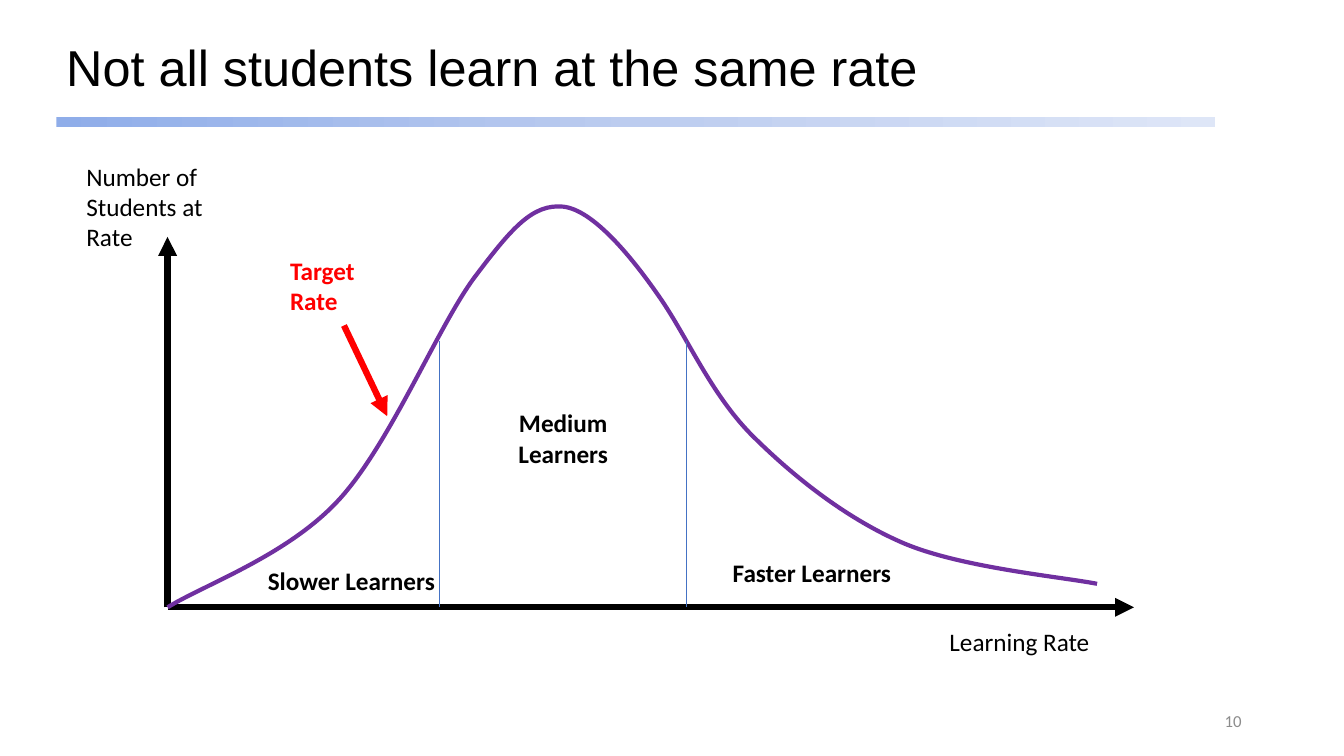
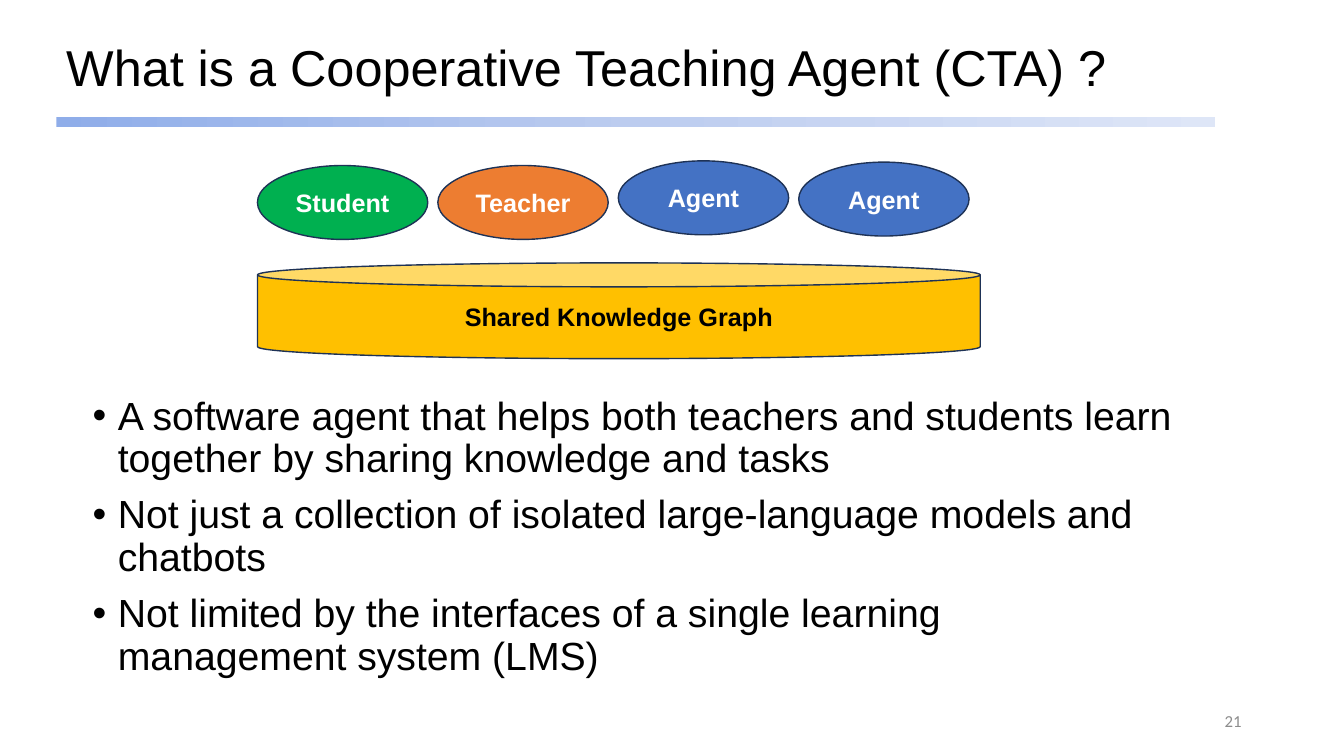
from dataclasses import dataclass
from copy import deepcopy
from typing import NamedTuple

from lxml.etree import Element, SubElement
from pptx import Presentation
from pptx.dml.color import RGBColor as RGB
from pptx.enum.shapes import MSO_CONNECTOR as Conn, MSO_SHAPE as Kind
from pptx.enum.text import MSO_ANCHOR as Anchor, PP_ALIGN as Align
from pptx.oxml.ns import qn
from pptx.util import Inches, Pt

# Grid: 160 columns by 90 rows of square cells
COLS, ROWS = 160, 90
WIDE, HIGH = Inches(13.33), Inches(7.5)


@dataclass(frozen=True)
class Theme:
    black: str = "000000"
    white: str = "FFFFFF"
    grey: str = "8C8C8C"
    red: str = "FF0000"
    violet: str = "7030A0"
    blue: str = "4472C4"
    green: str = "00B050"
    orange: str = "ED7D31"
    gold: str = "FFC000"
    navy: str = "1E3256"
    band: tuple[str, ...] = ("8FADE9", "BCCCEF", "DEE6F7")
    head: str = "Arial"
    label: str = "Calibri"
    title: int = 36
    body: int = 28
    text: int = 18
    small: int = 12


T = Theme()


class Box(NamedTuple):
    col: float
    row: float
    cols: float
    rows: float


class Spot(NamedTuple):
    col: float
    row: float


class Style(NamedTuple):
    font: str = T.label
    size: int = T.text
    color: str = T.black
    bold: bool = False
    align: Align = Align.LEFT
    line: float = 1.0


@dataclass(frozen=True)
class Label:
    box: Box
    lines: tuple[str, ...]
    style: Style = Style()
    wrap: bool = False


@dataclass(frozen=True)
class Stroke:
    start: Spot
    end: Spot
    color: str
    width: float
    arrow: bool = False


@dataclass(frozen=True)
class Role:
    name: str
    color: str
    row: float


def at_x(col: float) -> int:
    return round(WIDE * col / COLS)


def at_y(row: float) -> int:
    return round(HIGH * row / ROWS)


def place(box: Box) -> tuple[int, int, int, int]:
    return at_x(box.col), at_y(box.row), at_x(box.cols), at_y(box.rows)


# Text
def bullet(par) -> None:
    props = par._p.get_or_add_pPr()
    indent = Inches(0.25)
    props.set("marL", str(indent))
    props.set("indent", str(-indent))
    SubElement(props, qn("a:buFont"), typeface="Arial")
    SubElement(props, qn("a:buChar"), char="•")


def write(frame, lines: tuple[str, ...], style: Style, gap: float = 0,
          dots: bool = False) -> None:
    for i, line in enumerate(lines):
        par = frame.add_paragraph() if i else frame.paragraphs[0]
        par.text = line
        par.alignment = style.align
        par.line_spacing = style.line
        if i and gap:
            par.space_before = Pt(gap)
        if dots:
            bullet(par)
        font = par.font
        font.name, font.size, font.bold = style.font, Pt(style.size), style.bold
        font.color.rgb = RGB.from_string(style.color)


def add_text(slide, label: Label, anchor: Anchor = Anchor.TOP,
             gap: float = 0, dots: bool = False) -> None:
    frame = slide.shapes.add_textbox(*place(label.box)).text_frame
    frame.word_wrap = label.wrap
    frame.vertical_anchor = anchor
    write(frame, label.lines, label.style, gap, dots)


# Shapes and lines
def add_solid(slide, kind: Kind, box: Box, fill: str, text: str, ink: str) -> None:
    shape = slide.shapes.add_shape(kind, *place(box))
    shape.shadow.inherit = False
    shape.fill.solid()
    shape.fill.fore_color.rgb = RGB.from_string(fill)
    shape.line.color.rgb = RGB.from_string(T.navy)
    shape.line.width = Pt(1)
    frame = shape.text_frame
    frame.vertical_anchor = Anchor.MIDDLE
    write(frame, (text,), Style(T.head, T.text, ink, True, Align.CENTER))


def add_line(slide, stroke: Stroke) -> None:
    (x1, y1), (x2, y2) = stroke.start, stroke.end
    line = slide.shapes.add_connector(
        Conn.STRAIGHT, at_x(x1), at_y(y1), at_x(x2), at_y(y2))
    line.line.color.rgb = RGB.from_string(stroke.color)
    line.line.width = Pt(stroke.width)
    props = line._element.spPr
    if stroke.arrow:
        SubElement(props.find(qn("a:ln")), qn("a:tailEnd"), type="triangle")
    SubElement(props, qn("a:effectLst"))


def add_curve(slide, knots: tuple[Spot, ...], color: str, width: float) -> None:
    """Joined cubic curves; every third knot lies on the line."""
    points = [(at_x(k.col), at_y(k.row)) for k in knots]
    form = slide.shapes.build_freeform(*points[0])
    form.add_line_segments(points[3::3], close=False)
    curve = form.convert_to_shape()
    # Turn each straight segment into a cubic one
    segments = curve._element.spPr.findall(f".//{qn('a:lnTo')}")
    for i, straight in enumerate(segments):
        cubic = Element(qn("a:cubicBezTo"))
        for x, y in points[3 * i + 1:3 * i + 4]:
            SubElement(cubic, qn("a:pt"), x=str(x - curve.left), y=str(y - curve.top))
        straight.getparent().replace(straight, cubic)
    curve.shadow.inherit = False
    curve.fill.background()
    curve.line.color.rgb = RGB.from_string(color)
    curve.line.width = Pt(width)


# Shared frame: band, title, page number
def add_band(slide) -> None:
    band = slide.shapes.add_shape(Kind.RECTANGLE, *place(Box(6.7, 13.95, 138, 1.2)))
    band.shadow.inherit = False
    band.line.fill.background()
    band.fill.gradient()
    band.fill.gradient_angle = 0
    stops = band._element.spPr.find(f".//{qn('a:gsLst')}")
    stops.insert(1, deepcopy(stops[0]))
    for i, (stop, color) in enumerate(zip(band.fill.gradient_stops, T.band)):
        stop.position = i / 2
        stop.color.rgb = RGB.from_string(color)


def add_slide(deck, title: str, page: int):
    slide = deck.slides.add_slide(deck.slide_layouts[6])
    add_band(slide)
    head = Style(T.head, T.title, line=0.9)
    foot = Style(size=T.small, color=T.grey, align=Align.RIGHT)
    for label in (Label(Box(6.7, 2.75, 138, 11.25), (title,), head, True),
                  Label(Box(113, 83.4, 36, 4.8), (str(page),), foot, True)):
        add_text(slide, label, Anchor.MIDDLE)
    return slide


# Slide: learning rates
BASE = Spot(19.95, 72.3)
KNOTS = (
    BASE, Spot(24.1, 69.7), Spot(34.1, 66.2),
    Spot(40.2, 59.65), Spot(46.3, 53.15), Spot(52.1, 38.9),
    Spot(56.5, 33), Spot(60.95, 27.1), Spot(63.4, 24.25),
    Spot(67.05, 24.6), Spot(70.7, 25), Spot(75.4, 30.85),
    Spot(78.6, 35.5), Spot(81.85, 40.2), Spot(84.6, 46.8),
    Spot(89.4, 51.7), Spot(94.2, 56.5), Spot(100.45, 61.55),
    Spot(107.3, 64.55), Spot(114.1, 67.55), Spot(126.25, 68.65),
    Spot(130.6, 69.5),
)
BOLD = Style(bold=True)
LABELS = (
    Label(Box(111.85, 74, 22.2, 4.8), ("Learning Rate",), wrap=True),
    Label(Box(9.1, 18.6, 22.2, 12.1), ("Number of Students at Rate",), wrap=True),
    Label(Box(86.05, 65.75, 21.35, 4.8), ("Faster Learners",), BOLD),
    Label(Box(30.7, 66.7, 22.45, 4.8), ("Slower Learners",), BOLD),
    Label(Box(60.45, 47.95, 13.2, 8.5), ("Medium\vLearners",),
          BOLD._replace(align=Align.CENTER)),
    Label(Box(33.35, 29.75, 10.2, 8.5), ("Target", "Rate"),
          BOLD._replace(color=T.red)),
)


def add_rates(deck) -> None:
    slide = add_slide(deck, "Not all students learn at the same rate", 10)
    for tip in (Spot(BASE.col, 28.2), Spot(135, BASE.row)):
        add_line(slide, Stroke(BASE, tip, T.black, 4.5, True))
    add_curve(slide, KNOTS, T.violet, 3)
    for col in (52.25, 81.75):
        add_line(slide, Stroke(Spot(col, 40.55), Spot(col, BASE.row), T.blue, 0.5))
    add_line(slide, Stroke(Spot(40.95, 38.75), Spot(46.1, 49.55), T.red, 4.5, True))
    for label in LABELS:
        add_text(slide, label)


# Slide: teaching agent
ROLES = (
    Role("Student", T.green, 19.7),
    Role("Teacher", T.orange, 19.7),
    Role("Agent", T.blue, 19.15),
    Role("Agent", T.blue, 19.3),
)
POINTS = (
    "A software agent that helps both teachers and students learn together "
    "by sharing knowledge and tasks",
    "Not just a collection of isolated large-language models and chatbots",
    "Not limited by the interfaces of a single learning management system (LMS)",
)


def add_agent(deck) -> None:
    slide = add_slide(deck, "What is a Cooperative Teaching Agent (CTA) ?", 21)
    left, width, gap = 30.65, 20.28, 1.2
    for i, role in enumerate(ROLES):
        box = Box(left + i * (width + gap), role.row, width, 8.8)
        add_solid(slide, Kind.OVAL, box, role.color, role.name, T.white)
    add_solid(slide, Kind.CAN, Box(left, 31.3, 86.05, 11.4), T.gold,
              "Shared Knowledge Graph", T.black)
    body = Style(T.head, T.body, line=0.9)
    add_text(slide, Label(Box(9.85, 46.6, 131.5, 35.3), POINTS, body, True),
             gap=10, dots=True)


def main() -> None:
    deck = Presentation()
    deck.slide_width, deck.slide_height = WIDE, HIGH
    add_rates(deck)
    add_agent(deck)
    deck.save("out.pptx")


if __name__ == "__main__":
    main()
